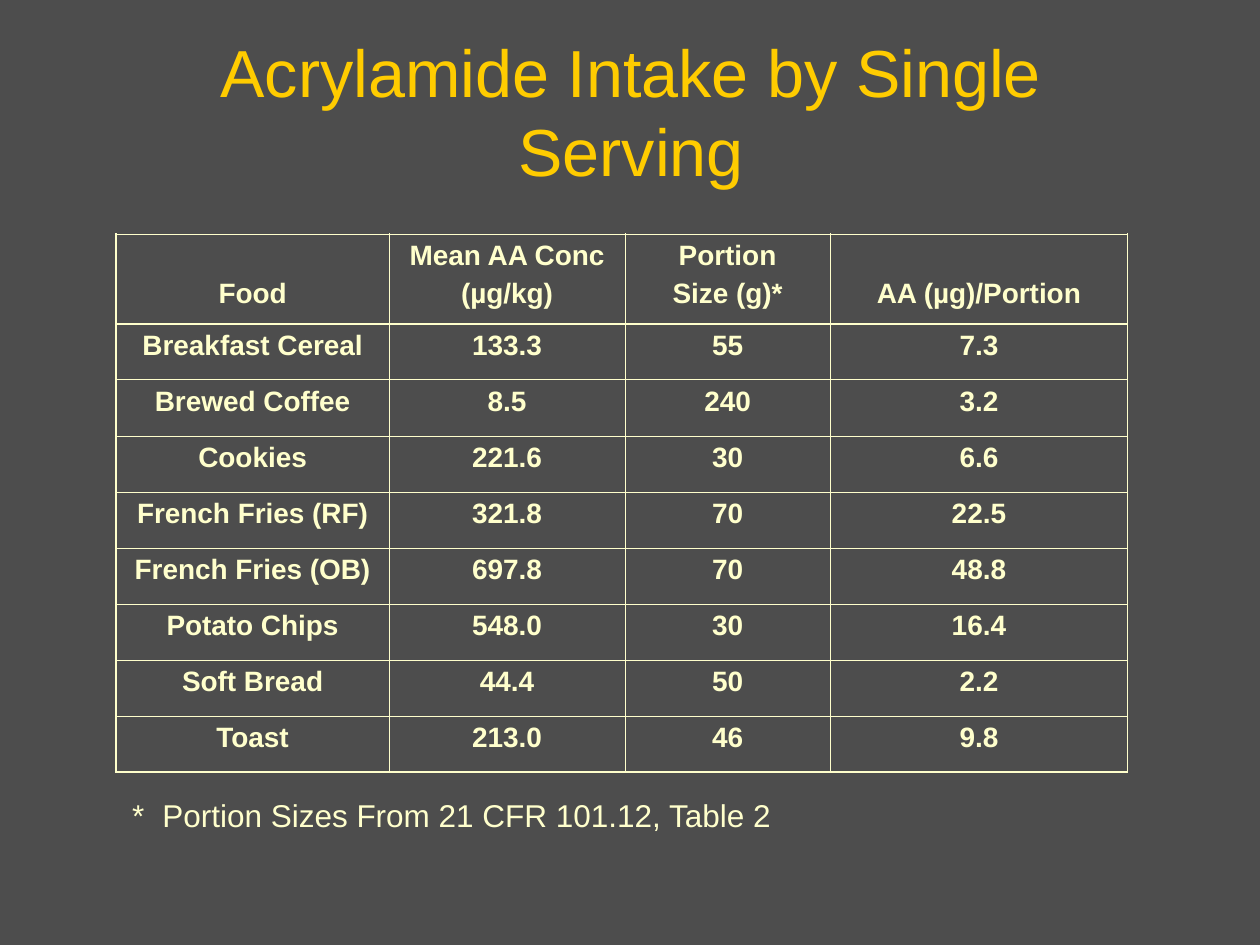
from lxml import etree
from pptx import Presentation
from pptx.dml.color import RGBColor
from pptx.enum.text import MSO_ANCHOR, MSO_AUTO_SIZE, PP_ALIGN
from pptx.oxml.ns import qn
from pptx.util import Inches, Pt

CENTER, LEFT = PP_ALIGN.CENTER, PP_ALIGN.LEFT
TOP, BOTTOM = MSO_ANCHOR.TOP, MSO_ANCHOR.BOTTOM
FIT_SHAPE = MSO_AUTO_SIZE.SHAPE_TO_FIT_TEXT
TITLE_ONLY = 5

TITLE = "Acrylamide Intake by Single Serving"
HEADERS = ["Food", "Mean AA Conc\n(µg/kg)", "Portion\nSize (g)*", "AA (µg)/Portion"]
FOODS = [
    ("Breakfast Cereal", "133.3", "55", "7.3"),
    ("Brewed Coffee", "8.5", "240", "3.2"),
    ("Cookies", "221.6", "30", "6.6"),
    ("French Fries (RF)", "321.8", "70", "22.5"),
    ("French Fries (OB)", "697.8", "70", "48.8"),
    ("Potato Chips", "548.0", "30", "16.4"),
    ("Soft Bread", "44.4", "50", "2.2"),
    ("Toast", "213.0", "46", "9.8"),
]
FOOTNOTE = "*\tPortion Sizes From 21 CFR 101.12, Table 2"

THEME = {
    "font": "Arial",
    "background": "4D4D4D", "title": "FFCC00", "text": "FFFFCC",
    "title_size": 38, "table_size": 16, "footnote_size": 18,
    "outer_line": 1.08, "header_line": 1.47, "inner_line": 0.45,
}
COLUMN_WIDTHS = [2.17, 1.87, 1.63, 2.36]
HEADER_HEIGHT, FOOD_HEIGHT = 0.71, 0.445
CELL_MARGIN, HEADER_LINE_HEIGHT = 0.05, 0.3


def style(paragraph, size, color, alignment=CENTER, bold=False):
    paragraph.alignment = alignment
    font = paragraph.font
    font.name, font.size, font.bold = THEME["font"], Pt(size), bold
    font.color.rgb = RGBColor.from_string(color)


def set_border(cell, side, width):
    """Draw one side (L, R, T or B) of a cell; call in that order."""
    line = etree.SubElement(cell._tc.get_or_add_tcPr(), qn(f"a:ln{side}"), w=str(Pt(width)))
    fill = etree.SubElement(line, qn("a:solidFill"))
    etree.SubElement(fill, qn("a:srgbClr"), val=THEME["text"])


def add_title(slide):
    title = slide.shapes.title
    title.left, title.top = Inches(0.81), Inches(0.19)
    title.width, title.height = Inches(8.4), Inches(1.37)
    frame = title.text_frame
    frame.text = TITLE
    frame.word_wrap, frame.auto_size, frame.vertical_anchor = True, FIT_SHAPE, BOTTOM
    style(frame.paragraphs[0], THEME["title_size"], THEME["title"])


def fill_cell(cell, text, is_header):
    cell.text = text
    cell.vertical_anchor = TOP
    paragraphs = cell.text_frame.paragraphs
    missing_lines = 2 - len(paragraphs) if is_header else 0
    cell.margin_top = Inches(CELL_MARGIN + missing_lines * HEADER_LINE_HEIGHT)
    for index, paragraph in enumerate(paragraphs):
        style(paragraph, THEME["table_size"], THEME["text"], bold=True)
        if index:
            paragraph.space_before = Pt(4)


def add_food_table(slide):
    rows = [HEADERS, *FOODS]
    last_row, last_column = len(rows) - 1, len(HEADERS) - 1
    outer, inner, header = THEME["outer_line"], THEME["inner_line"], THEME["header_line"]
    table_height = HEADER_HEIGHT + len(FOODS) * FOOD_HEIGHT
    table = slide.shapes.add_table(
        len(rows), len(HEADERS), Inches(0.92), Inches(1.86),
        Inches(sum(COLUMN_WIDTHS)), Inches(table_height)).table
    table.horz_banding = False
    for column, width in zip(table.columns, COLUMN_WIDTHS):
        column.width = Inches(width)
    horizontal_lines = [outer, header] + [inner] * (last_row - 1) + [outer]
    vertical_lines = [outer] + [inner] * last_column + [outer]

    for r, values in enumerate(rows):
        table.rows[r].height = Inches(FOOD_HEIGHT if r else HEADER_HEIGHT)
        for c, text in enumerate(values):
            cell = table.cell(r, c)
            fill_cell(cell, text, is_header=r == 0)
            set_border(cell, "L", vertical_lines[c])
            set_border(cell, "R", vertical_lines[c + 1])
            set_border(cell, "T", horizontal_lines[r])
            set_border(cell, "B", horizontal_lines[r + 1])
            cell.fill.background()


def add_footnote(slide):
    box = slide.shapes.add_textbox(Inches(0.95), Inches(6.27), Inches(5.4), Inches(0.4))
    frame = box.text_frame
    frame.word_wrap, frame.auto_size = True, FIT_SHAPE
    paragraph = frame.paragraphs[0]
    paragraph.add_run().text = FOOTNOTE
    properties = paragraph._p.get_or_add_pPr()
    hanging = Inches(0.24)
    properties.set("marL", str(hanging))
    properties.set("indent", str(-hanging))
    style(paragraph, THEME["footnote_size"], THEME["text"], LEFT)


def main():
    presentation = Presentation()
    presentation.slide_width, presentation.slide_height = Inches(10), Inches(7.5)
    slide = presentation.slides.add_slide(presentation.slide_layouts[TITLE_ONLY])
    slide.background.fill.solid()
    slide.background.fill.fore_color.rgb = RGBColor.from_string(THEME["background"])
    add_title(slide)
    add_food_table(slide)
    add_footnote(slide)
    presentation.save("out.pptx")


if __name__ == "__main__":
    main()
